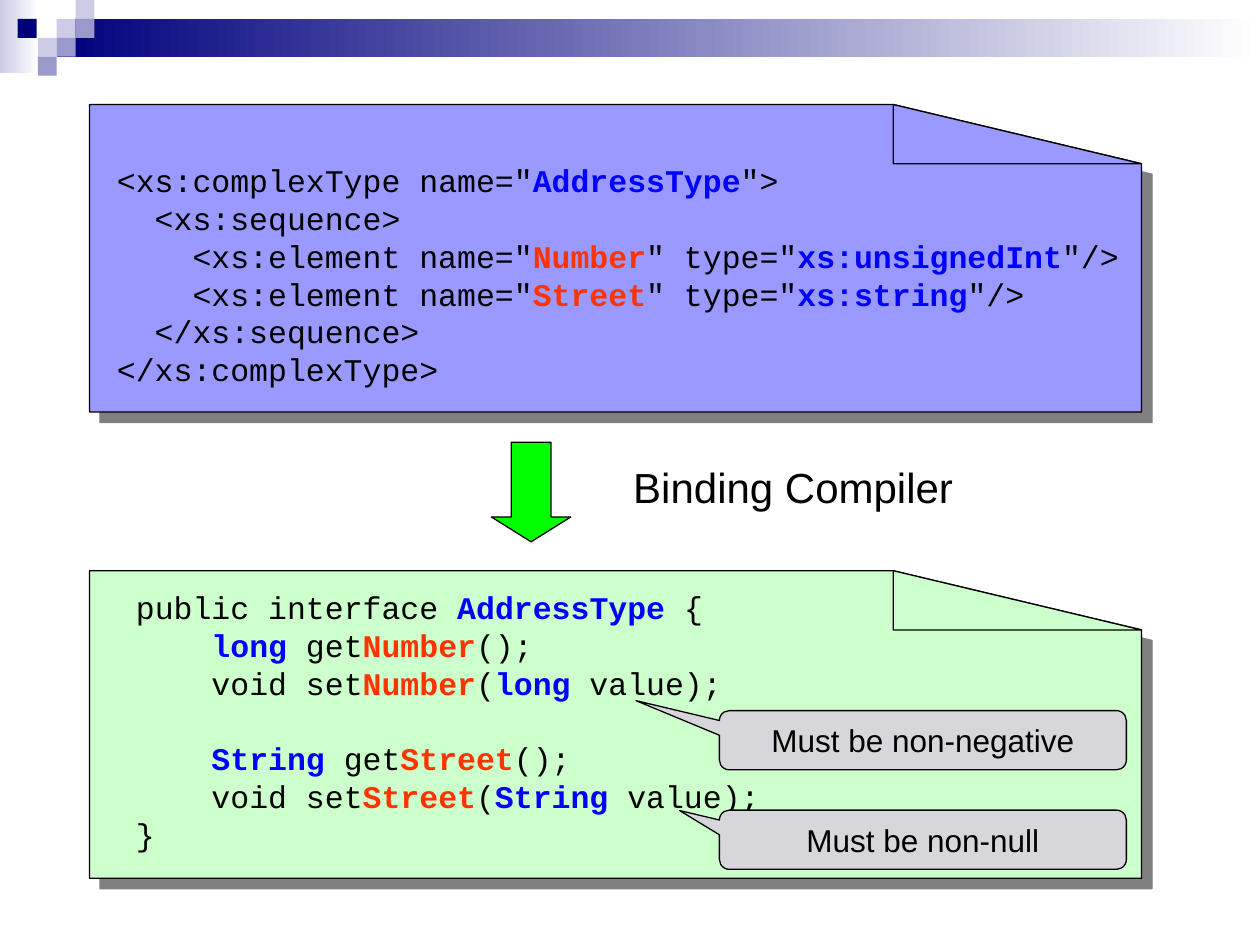
from lxml.etree import SubElement
from pptx import Presentation
from pptx.dml.color import RGBColor
from pptx.enum.shapes import MSO_SHAPE as Preset
from pptx.enum.text import MSO_ANCHOR as Anchor, PP_ALIGN as Align
from pptx.oxml.ns import qn
from pptx.util import Inches, Pt

BLACK, BLUE, RED = "000000", "0000FF", "FF3300"
NAVY, LILAC, MAUVE, WHITE = "00007D", "CCCCE6", "9999CC", "FFFFFF"
CODE_LINE = Pt(21.6)


def color(hex_value):
    return RGBColor.from_string(hex_value)


def type_word(text):
    return text, BLUE


def field_word(text):
    return text, RED


class SlideStyle:
    """Holds the fonts, the outline width and the slide being filled."""
    text_font = "Arial"
    code_font = "Courier New"
    line_width = Pt(0.75)

    def __init__(self, page):
        self.page = page

    def apply(self, target, formats):
        for name, value in formats.items():
            setattr(target, name, value)

    def paint(self, shape, fill, outlined=True):
        shape.shadow.inherit = False
        shape.fill.solid()
        shape.fill.fore_color.rgb = color(fill)
        if outlined:
            shape.line.color.rgb = color(BLACK)
            shape.line.width = self.line_width
        else:
            shape.line.fill.background()

    def preset(self, kind, place, fill, adjustments=(), outlined=True):
        shape = self.page.shapes.add_shape(kind, *map(Inches, place))
        for index, value in enumerate(adjustments):
            shape.adjustments[index] = value
        self.paint(shape, fill, outlined)
        return shape

    def gradient(self, place, start, end):
        bar = self.preset(Preset.RECTANGLE, place, start, outlined=False)
        bar.fill.gradient()
        bar.fill.gradient_angle = 0
        for stop, hex_value in zip(bar.fill.gradient_stops, (start, end)):
            stop.color.rgb = color(hex_value)

    def outline(self, points, fill):
        start, *others = [(Inches(x), Inches(y)) for x, y in points]
        builder = self.page.shapes.build_freeform(*start)
        builder.add_line_segments(others)
        shape = builder.convert_to_shape()
        self.paint(shape, fill)
        return shape

    def drop_shadow(self, shape):
        effects = shape._element.spPr.find(qn("a:effectLst"))
        shadow = SubElement(effects, qn("a:outerShdw"), dist=str(Pt(8.5)),
                            dir="2700000", algn="ctr", rotWithShape="0")
        SubElement(shadow, qn("a:srgbClr"), val="808080")

    def document(self, top, fill):
        left, fold_left, right = 0.71, 7.09, 9.06
        fold_bottom, bottom = top + 0.47, top + 2.44
        sheet = self.outline([(left, top), (fold_left, top), (right, fold_bottom),
                              (right, bottom), (left, bottom)], fill)
        self.drop_shadow(sheet)
        self.outline([(right, fold_bottom), (fold_left, fold_bottom),
                      (fold_left, top)], fill)

    def span(self, para, text, size, font, hex_value=BLACK, bold=False):
        span = para.add_run()
        span.text = text
        self.apply(span.font, {"name": font, "size": Pt(size), "bold": bold})
        span.font.color.rgb = color(hex_value)

    def label(self, box, text, size):
        self.apply(box.text_frame, {"word_wrap": True, "vertical_anchor": Anchor.MIDDLE})
        para = box.text_frame.paragraphs[0]
        para.alignment = Align.CENTER
        self.span(para, text, size, self.text_font)

    def title(self, place, text):
        box = self.page.shapes.add_textbox(*map(Inches, place))
        self.label(box, text, 24)

    def callout(self, place, pointer, text):
        box = self.preset(Preset.ROUNDED_RECTANGULAR_CALLOUT, place, "D7D7DB",
                          (*pointer, 0.167))
        self.label(box, text, 18)

    def code(self, place, lines):
        """Each line is its indent in characters, a gap in lines, and its pieces."""
        box = self.page.shapes.add_textbox(*map(Inches, place))
        frame = box.text_frame
        frame.word_wrap = True
        for number, (indent, gap, *pieces) in enumerate(lines):
            para = frame.add_paragraph() if number else frame.paragraphs[0]
            self.apply(para, {"line_spacing": CODE_LINE, "space_before": CODE_LINE * gap})
            para._p.get_or_add_pPr().set("marL", str(Inches(0.15 * indent)))
            for piece in pieces:
                text, hex_value = (piece, BLACK) if isinstance(piece, str) else piece
                self.span(para, text, 18, self.code_font, hex_value, hex_value != BLACK)


def element_line(name, kind):
    return (4, 0, '<xs:element name="', field_word(name), '" type="',
            type_word(kind), '"/>')


def getter_line(kind, name, gap=0):
    return 4, gap, type_word(kind), " get", field_word(name), "();"


def setter_line(kind, name):
    return 4, 0, "void set", field_word(name), "(", type_word(kind), " value);"


def main():
    deck = Presentation()
    deck.slide_width, deck.slide_height = Inches(10), Inches(7.5)
    style = SlideStyle(deck.slides.add_slide(deck.slide_layouts[6]))

    # Header band and checkered squares
    style.gradient((0, 0, 0.31, 0.58), LILAC, WHITE)
    style.gradient((0.45, 0.15, 9.55, 0.3), NAVY, WHITE)
    side = 0.15
    squares = [(0.45, 0.15, LILAC), (0.6, 0, LILAC), (0.6, 0.15, MAUVE),
               (0.3, 0.3, LILAC), (0.14, 0.15, NAVY), (0.45, 0.3, MAUVE),
               (0.3, 0.45, MAUVE)]
    for left, top, fill in squares:
        style.preset(Preset.RECTANGLE, (left, top, side, side), fill, outlined=False)

    # Compiler step
    style.title((4.76, 3.67, 3.07, 0.39), "Binding Compiler")
    arrow = style.preset(Preset.RIGHT_ARROW, (3.82, 3.59, 0.79, 0.63), "00FF00",
                         (0.5, 0.312))
    arrow.rotation = 90

    # Schema
    style.document(0.83, "9999FF")
    style.code((0.83, 1.23, 8.27, 1.9), [
        (0, 0, '<xs:complexType name="', type_word("AddressType"), '">'),
        (2, 0, "<xs:sequence>"),
        element_line("Number", "xs:unsignedInt"),
        element_line("Street", "xs:string"),
        (2, 0, "</xs:sequence>"),
        (0, 0, "</xs:complexType>"),
    ])

    # Generated interface
    style.document(4.53, "CCFFCC")
    style.code((0.98, 4.62, 5.28, 2.2), [
        (0, 0, "public interface ", type_word("AddressType"), " {"),
        getter_line("long", "Number"),
        setter_line("long", "Number"),
        getter_line("String", "Street", gap=1),
        setter_line("String", "Street"),
        (0, 0, "}"),
    ])

    # Constraints on the setters
    style.callout((5.71, 5.64, 3.23, 0.47), (-0.705, -0.669), "Must be non-negative")
    style.callout((5.71, 6.43, 3.23, 0.47), (-0.598, -0.493), "Must be non-null")

    deck.save("out.pptx")


if __name__ == "__main__":
    main()
